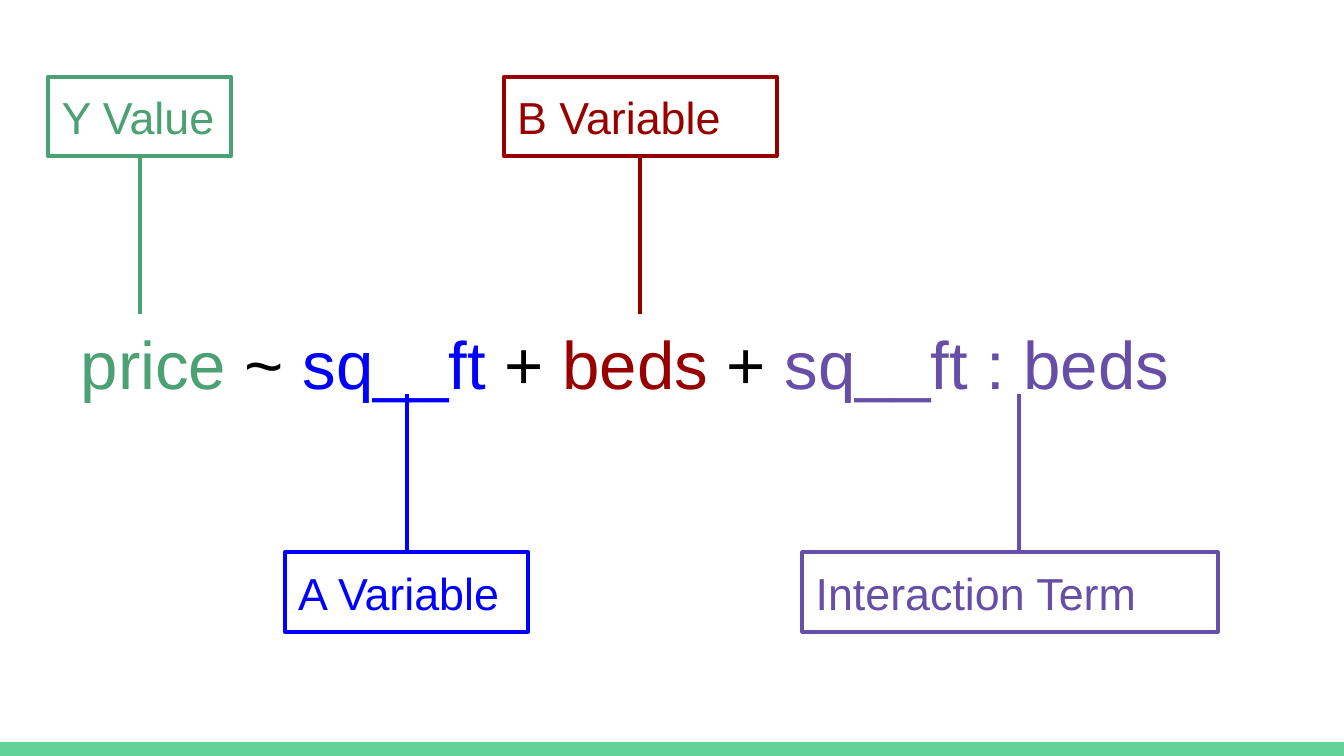
from dataclasses import dataclass

import lxml.etree
import pptx
import pptx.dml.color
import pptx.enum.shapes
import pptx.enum.text
import pptx.oxml.ns
import pptx.slide
import pptx.text.text
import pptx.util
from pptx.util import Inches

RGBColor = pptx.dml.color.RGBColor

GREEN = RGBColor(0x4B, 0xA1, 0x73)
BLUE = RGBColor(0x00, 0x00, 0xFF)
RED = RGBColor(0x98, 0x00, 0x00)
PURPLE = RGBColor(0x67, 0x4E, 0xA7)
BLACK = RGBColor(0x00, 0x00, 0x00)
FOOTER_GREEN = RGBColor(0x63, 0xD2, 0x97)

SLIDE_WIDTH = 10
SLIDE_HEIGHT = SLIDE_WIDTH * 9 / 16
LABEL_HEIGHT = 0.59
UPPER_LABEL_TOP = 0.57
LOWER_LABEL_TOP = 4.11
LEADER_LENGTH = 1.18
LINE_WIDTH = pptx.util.Pt(2.25)


@dataclass(frozen=True)
class Term:
    text: str
    color: RGBColor


@dataclass(frozen=True)
class Label:
    text: str
    color: RGBColor
    left: float
    width: float
    leader_x: float
    above: bool


FORMULA = [
    Term("price", GREEN),
    Term(" ~ ", BLACK),
    Term("sq__ft", BLUE),
    Term(" + ", BLACK),
    Term("beds", RED),
    Term(" + ", BLACK),
    Term("sq__ft : beds", PURPLE),
]

LABELS = [
    Label("Y Value", GREEN, 0.36, 1.36, 1.04, True),
    Label("B Variable", RED, 3.75, 2.03, 4.76, True),
    Label("A Variable", BLUE, 2.12, 1.81, 3.03, False),
    Label("Interaction Term", PURPLE, 5.97, 3.09, 7.58, False),
]


def add_text(
    paragraph: pptx.text.text._Paragraph, text: str, *, size: float, color: RGBColor
) -> None:
    run = paragraph.add_run()
    run.text = text
    run.font.name = "Arial"
    run.font.size = pptx.util.Pt(size)
    run.font.color.rgb = color


def format_frame(
    frame: pptx.text.text.TextFrame, anchor: pptx.enum.text.MSO_ANCHOR
) -> None:
    frame.word_wrap = True
    frame.auto_size = pptx.enum.text.MSO_AUTO_SIZE.NONE
    frame.vertical_anchor = anchor
    frame.margin_left = frame.margin_right = Inches(0.1)
    frame.margin_top = frame.margin_bottom = Inches(0.1)
    frame.paragraphs[0].alignment = pptx.enum.text.PP_ALIGN.LEFT


def draw_footer_band(slide: pptx.slide.Slide) -> None:
    band = slide.shapes.add_shape(
        pptx.enum.shapes.MSO_SHAPE.RECTANGLE,
        Inches(0), Inches(5.52), Inches(SLIDE_WIDTH), Inches(SLIDE_HEIGHT - 5.52),
    )
    band.shadow.inherit = False
    band.fill.solid()
    band.fill.fore_color.rgb = FOOTER_GREEN
    band.line.fill.background()


def write_formula(slide: pptx.slide.Slide, terms: list[Term]) -> None:
    formula = slide.shapes.title
    formula.left, formula.top = Inches(0), Inches(0.27)
    formula.width, formula.height = Inches(SLIDE_WIDTH), Inches(4.76)
    format_frame(formula.text_frame, pptx.enum.text.MSO_ANCHOR.MIDDLE)
    paragraph = formula.text_frame.paragraphs[0]
    paragraph.line_spacing = 1.15
    properties = paragraph._p.get_or_add_pPr()
    properties.set("marL", "0")
    properties.set("indent", str(Inches(0.5)))
    for term in terms:
        add_text(paragraph, term.text, size=36, color=term.color)


def draw_label(slide: pptx.slide.Slide, label: Label) -> None:
    top = UPPER_LABEL_TOP if label.above else LOWER_LABEL_TOP
    leader_start = top + LABEL_HEIGHT if label.above else top
    leader_end = leader_start + (LEADER_LENGTH if label.above else -LEADER_LENGTH)
    leader_ends = (
        (leader_end, leader_start) if label.above else (leader_start, leader_end)
    )

    leader = slide.shapes.add_connector(
        pptx.enum.shapes.MSO_CONNECTOR.STRAIGHT,
        Inches(label.leader_x), Inches(leader_ends[0]),
        Inches(label.leader_x), Inches(leader_ends[1]),
    )
    leader.line.color.rgb = label.color
    leader.line.width = LINE_WIDTH
    lxml.etree.SubElement(
        leader._element.spPr, pptx.oxml.ns.qn("a:effectLst")
    )

    box = slide.shapes.add_shape(
        pptx.enum.shapes.MSO_SHAPE.RECTANGLE,
        Inches(label.left), Inches(top), Inches(label.width), Inches(LABEL_HEIGHT),
    )
    box.shadow.inherit = False
    box.fill.background()
    box.line.color.rgb = label.color
    box.line.width = LINE_WIDTH
    format_frame(box.text_frame, pptx.enum.text.MSO_ANCHOR.TOP)
    add_text(box.text_frame.paragraphs[0], label.text, size=24, color=label.color)


def main() -> None:
    presentation = pptx.Presentation()
    presentation.slide_width = Inches(SLIDE_WIDTH)
    presentation.slide_height = Inches(SLIDE_HEIGHT)
    slide = presentation.slides.add_slide(presentation.slide_layouts[5])
    draw_footer_band(slide)
    write_formula(slide, FORMULA)
    for label in LABELS:
        draw_label(slide, label)
    presentation.save("out.pptx")


if __name__ == "__main__":
    main()
